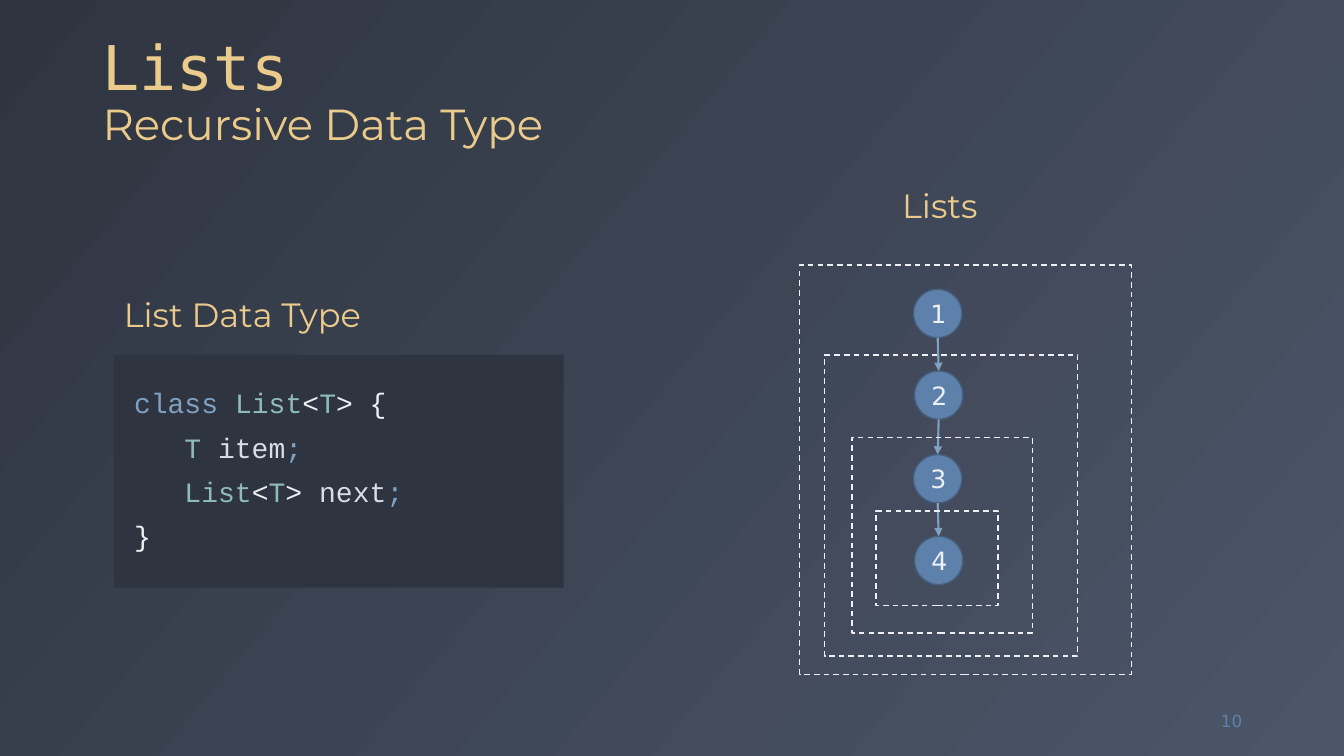
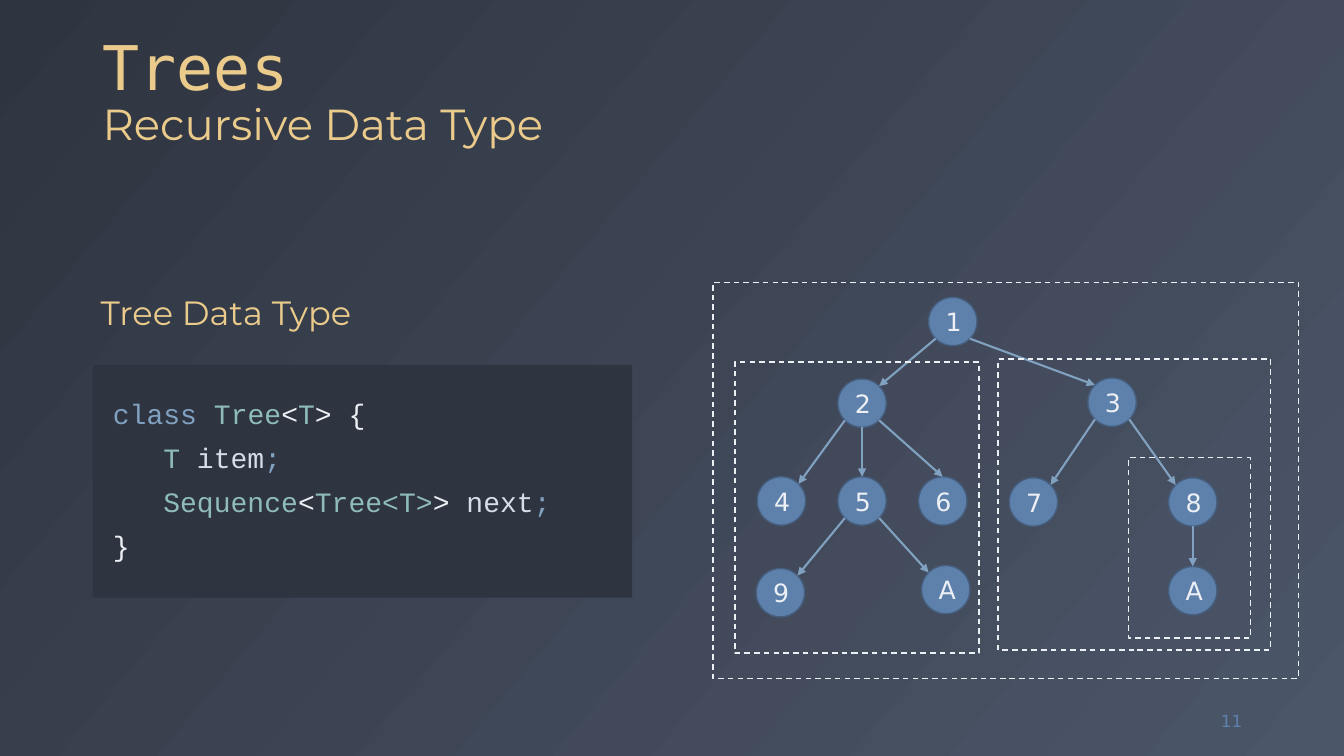
from dataclasses import dataclass
from math import sqrt

from lxml import etree
from pptx import Presentation
from pptx.dml.color import RGBColor
from pptx.enum import dml, shapes, text
from pptx.oxml import ns
from pptx.util import Inches, Pt


@dataclass(frozen=True)
class Theme:
    back_start: str = "2E3440"
    back_end: str = "4C5669"
    heading: str = "EBCB8B"
    node: str = "5E81AC"
    node_line: str = "465F7F"
    light: str = "ECEFF4"
    keyword: str = "81A1C1"
    type_name: str = "8FBCBB"
    ident: str = "D8DEE9"
    sans: str = "DejaVu Sans"
    mono: str = "DejaVu Sans Mono"
    display: str = "Montserrat"
    code: str = "Courier New"
    title_size: int = 44
    subtitle_size: int = 31
    heading_size: int = 24
    code_size: int = 20
    node_size: int = 18
    number_size: int = 12


NODE = 0.48  # node diameter


class Deck:
    def __init__(self, theme):
        self.t = theme
        self.prs = Presentation()
        self.prs.slide_width, self.prs.slide_height = Inches(13.33), Inches(7.5)
        self.s = None

    def slide(self, title, subtitle, number):
        self.s = self.prs.slides.add_slide(self.prs.slide_layouts[6])
        fill = self.s.background.fill
        fill.gradient()
        fill.gradient_angle = 320
        for stop, color in zip(fill.gradient_stops, (self.t.back_start, self.t.back_end)):
            stop.color.rgb = RGBColor.from_string(color)

        tf = self.text_box(0.92, 0.18, 11.5, 1.36, text.MSO_ANCHOR.BOTTOM)
        p = tf.paragraphs[0]
        p.line_spacing = 0.9
        self.font(p.font, color=self.t.heading)
        self.run(p, title, name=self.t.mono, size=self.t.title_size)
        p.add_line_break()
        self.run(p, subtitle, name=self.t.display, size=self.t.subtitle_size)

        tf = self.text_box(11.59, 6.95, 0.83, 0.4, text.MSO_ANCHOR.MIDDLE)
        p = tf.paragraphs[0]
        p.text = str(number)
        p.alignment = text.PP_ALIGN.RIGHT
        self.font(p.font, self.t.sans, self.t.number_size, self.t.node)

    def font(self, font, name=None, size=None, color=None):
        if name:
            font.name = name
        if size:
            font.size = Pt(size)
        if color:
            font.color.rgb = RGBColor.from_string(color)

    def run(self, p, words, **style):
        r = p.add_run()
        r.text = words
        self.font(r.font, **style)

    def text_box(self, x, y, w, h, anchor=text.MSO_ANCHOR.TOP, wrap=True):
        tf = self.s.shapes.add_textbox(Inches(x), Inches(y), Inches(w), Inches(h)).text_frame
        tf.word_wrap = wrap
        tf.vertical_anchor = anchor
        return tf

    def heading(self, words, x, y, w):
        tf = self.text_box(x, y, w, 0.5, wrap=False)
        tf.auto_size = text.MSO_AUTO_SIZE.SHAPE_TO_FIT_TEXT
        p = tf.paragraphs[0]
        p.text = words
        self.font(p.font, self.t.display, self.t.heading_size, self.t.heading)

    def shape(self, kind, x, y, w, h, fill=None, line=None):
        sp = self.s.shapes.add_shape(kind, Inches(x), Inches(y), Inches(w), Inches(h))
        sp.shadow.inherit = False
        if fill:
            sp.fill.solid()
            sp.fill.fore_color.rgb = RGBColor.from_string(fill)
        else:
            sp.fill.background()
        if line:
            sp.line.color.rgb = RGBColor.from_string(line)
            sp.line.width = Pt(1)
        else:
            sp.line.fill.background()
        return sp

    def dashed_boxes(self, boxes):
        for box in boxes:
            sp = self.shape(shapes.MSO_SHAPE.RECTANGLE, *box, line=self.t.light)
            sp.line.dash_style = dml.MSO_LINE.DASH

    def node(self, label, x, y):
        sp = self.shape(shapes.MSO_SHAPE.OVAL, x, y, NODE, NODE, self.t.node, self.t.node_line)
        tf = sp.text_frame
        tf.vertical_anchor = text.MSO_ANCHOR.MIDDLE
        p = tf.paragraphs[0]
        p.text = label
        p.alignment = text.PP_ALIGN.CENTER
        self.font(p.font, self.t.sans, self.t.node_size, self.t.light)

    def arrow(self, start, end):
        c = self.s.shapes.add_connector(
            shapes.MSO_CONNECTOR.STRAIGHT, *(Inches(v) for v in (*start, *end)))
        c.line.color.rgb = RGBColor.from_string(self.t.keyword)
        c.line.width = Pt(1.5)
        props = c.element.spPr
        etree.SubElement(props.find(ns.qn("a:ln")), ns.qn("a:tailEnd"), type="triangle")
        etree.SubElement(props, ns.qn("a:effectLst"))

    def graph(self, nodes, top_entry=()):
        """Draw (label, left, top, parent index) nodes and the arrows between them.

        Slanted arrows join the circles at 45 degrees; labels in top_entry
        are entered at the top instead.
        """
        for label, x, y, parent in nodes:
            self.node(label, x, y)
            if parent is not None:
                _, px, py, _ = nodes[parent]
                side = 0 if abs(x - px) < 0.1 else (1 if x > px else -1)
                entry = 0 if label in top_entry else -side
                self.arrow(rim(px, py, side, 1), rim(x, y, entry, -1))

    def code(self, x, y, w, name, container, item):
        """Show a generic class whose next field has type container<item>."""
        t = self.t
        lines = [
            [("class ", t.keyword), (name, t.type_name), ("<", t.light),
             ("T", t.type_name), ("> {", t.light)],
            [("\tT", t.type_name), (" item", t.ident), (";", t.keyword)],
            [("\t" + container, t.type_name), ("<", t.light), (item, t.type_name),
             (">", t.light), (" next", t.ident), (";", t.keyword)],
            [("}", t.light)],
        ]
        sp = self.shape(shapes.MSO_SHAPE.RECTANGLE, x, y, w, 2.31, t.back_start)
        tf = sp.text_frame
        tf.vertical_anchor = text.MSO_ANCHOR.MIDDLE
        tf.margin_left = tf.margin_top = tf.margin_right = tf.margin_bottom = Inches(0.2)
        for i, line in enumerate(lines):
            p = tf.add_paragraph() if i else tf.paragraphs[0]
            p.alignment = text.PP_ALIGN.LEFT
            p.line_spacing = 0.9
            p.space_before = Pt(10 if i else 0)
            self.font(p.font, t.code, t.code_size)
            for words, color in line:
                self.run(p, words, color=color)


def rim(x, y, side, down):
    """Point on a node's edge: side -1 left, 0 middle, 1 right; down 1 or -1."""
    radius = NODE / 2
    reach = radius / sqrt(2) if side else radius
    return x + radius + side * reach, y + radius + down * reach


def lists_slide(deck):
    deck.slide("Lists", "Recursive Data Type", 10)
    deck.heading("Lists", 8.85, 1.79, 0.96)
    deck.graph([
        ("1", 9.06, 2.87, None),
        ("2", 9.07, 3.68, 0),
        ("3", 9.06, 4.51, 1),
        ("4", 9.07, 5.32, 2),
    ])
    deck.dashed_boxes([
        (8.69, 5.07, 1.21, 0.94),
        (8.45, 4.34, 1.79, 1.94),
        (8.18, 3.52, 2.51, 2.99),
        (7.93, 2.63, 3.29, 4.06),
    ])
    deck.heading("List Data Type", 1.13, 2.87, 2.59)
    deck.code(1.13, 3.52, 4.46, "List", "List", "T")


def trees_slide(deck):
    deck.slide("Trees", "Recursive Data Type", 11)
    deck.graph([
        ("1", 9.21, 2.95, None),
        ("2", 8.31, 3.76, 0),
        ("3", 10.79, 3.75, 0),
        ("4", 7.51, 4.73, 1),
        ("5", 8.31, 4.73, 1),
        ("6", 9.11, 4.73, 1),
        ("7", 10.01, 4.74, 2),
        ("8", 11.59, 4.74, 2),
        ("9", 7.5, 5.64, 4),
        ("A", 9.14, 5.61, 4),
        ("A", 11.59, 5.62, 7),
    ], top_entry=("6",))
    deck.dashed_boxes([
        (11.19, 4.54, 1.21, 1.79),
        (9.9, 3.56, 2.7, 2.89),
        (7.29, 3.59, 2.42, 2.89),
        (7.07, 2.8, 5.81, 3.93),
    ])
    deck.code(0.92, 3.62, 5.35, "Tree", "Sequence", "Tree<T>")
    deck.heading("Tree Data Type", 0.9, 2.85, 2.73)


def main():
    deck = Deck(Theme())
    lists_slide(deck)
    trees_slide(deck)
    deck.prs.save("out.pptx")


if __name__ == "__main__":
    main()
